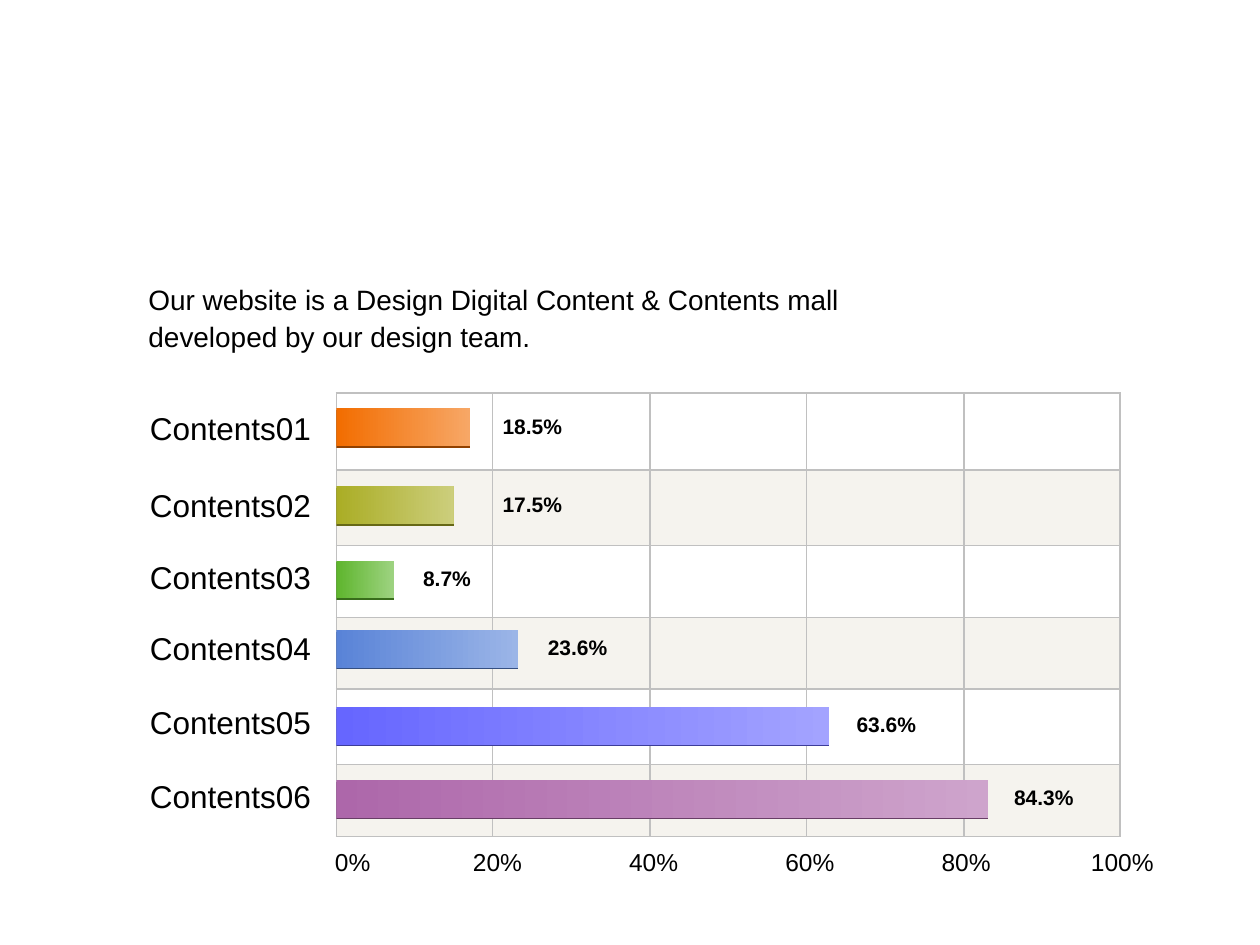
from dataclasses import dataclass

from lxml import etree
from pptx import Presentation
from pptx.dml.color import RGBColor
from pptx.enum import shapes, text
from pptx.oxml import ns
from pptx.util import Inches, Pt

HUES = {
    "ink": "000000", "grid": "C0C0C0", "band": "EDE9DF",
    "orange": "F26D00", "olive": "AAAD25", "green": "5EB52D",
    "blue": "5983D7", "violet": "6666FF", "plum": "AD67AA",
}
LEFT, TOP = 2.67, 3.12
COLS = [1.24, 1.25, 1.24, 1.25, 1.24]
ROWS = [0.61, 0.6, 0.57, 0.57, 0.6, 0.57]


@dataclass
class Bar:
    name: str
    value: str
    hue: str
    top: float
    width: float
    name_top: float
    value_left: float


BARS = [
    Bar("Contents01", "18.5%", "orange", 3.24, 1.06, 3.2, 3.89),
    Bar("Contents02", "17.5%", "olive", 3.86, 0.93, 3.81, 3.89),
    Bar("Contents03", "8.7%", "green", 4.45, 0.46, 4.38, 3.26),
    Bar("Contents04", "23.6%", "blue", 5, 1.44, 4.94, 4.25),
    Bar("Contents05", "63.6%", "violet", 5.61, 3.91, 5.53, 6.7),
    Bar("Contents06", "84.3%", "plum", 6.19, 5.17, 6.12, 7.95),
]


def tint(hue: str) -> RGBColor:
    return RGBColor(*(round(0.6 * c + 0.4 * 255) for c in RGBColor.from_string(HUES[hue])))


def shade(hue: str) -> RGBColor:
    return RGBColor(*(round(0.6 * c) for c in RGBColor.from_string(HUES[hue])))


def add(parent, tag: str, **attrs: str):
    return etree.SubElement(parent, ns.qn(tag), attrs)


def write(slide, words: str, left: float, top: float, width: float, height: float,
          size: int, bold: bool = False, align=text.PP_ALIGN.LEFT, tabs=()):
    box = slide.shapes.add_textbox(Inches(left), Inches(top), Inches(width), Inches(height))
    frame = box.text_frame
    frame.word_wrap = True
    frame.auto_size = text.MSO_AUTO_SIZE.SHAPE_TO_FIT_TEXT
    para = frame.paragraphs[0]
    para.text = words
    para.alignment = align
    if tabs:
        stops = add(para._p.get_or_add_pPr(), "a:tabLst")
        for stop in tabs:
            add(stops, "a:tab", pos=str(Inches(stop)), algn="ctr")
    para.font.name = "Arial"
    para.font.size = Pt(size)
    para.font.bold = bold
    para.font.color.rgb = RGBColor.from_string(HUES["ink"])
    return para


def style_cell(cell, banded: bool) -> None:
    props = cell._tc.get_or_add_tcPr()
    for side in ("L", "R", "T", "B"):
        line = add(props, f"a:ln{side}", w=str(Pt(1)))
        add(add(line, "a:solidFill"), "a:srgbClr", val=HUES["grid"])
    if banded:
        cell.fill.solid()
        cell.fill.fore_color.rgb = RGBColor.from_string(HUES["band"])
        add(props.find(".//a:srgbClr[@val='%s']" % HUES["band"], ns._nsmap), "a:alpha", val="50000")
    else:
        cell.fill.background()


def draw_grid(slide) -> None:
    frame = slide.shapes.add_table(len(ROWS), len(COLS), Inches(LEFT), Inches(TOP),
                                   Inches(sum(COLS)), Inches(sum(ROWS)))
    table = frame.table
    table.first_row = False
    table.horz_banding = False
    for col, width in zip(table.columns, COLS):
        col.width = Inches(width)
    for index, (row, height) in enumerate(zip(table.rows, ROWS)):
        row.height = Inches(height)
        for cell in row.cells:
            style_cell(cell, index % 2 == 1)


def draw_bar(slide, bar: Bar) -> None:
    rect = slide.shapes.add_shape(shapes.MSO_SHAPE.RECTANGLE, Inches(LEFT), Inches(bar.top),
                                  Inches(bar.width), Inches(0.3))
    rect.fill.gradient()
    rect.fill.gradient_angle = 0
    start, end = rect.fill.gradient_stops
    start.position, end.position = 0, 1
    start.color.rgb = RGBColor.from_string(HUES[bar.hue])
    end.color.rgb = tint(bar.hue)
    rect.line.fill.background()
    rect.shadow.inherit = False
    effects = rect._element.spPr.find(ns.qn("a:effectLst"))
    shadow = add(effects, "a:outerShdw", dist=str(Pt(1)), dir="5400000", rotWithShape="0")
    add(shadow, "a:srgbClr", val=str(shade(bar.hue)))
    write(slide, bar.name, 1, bar.name_top, 1.66, 0.4, 18, align=text.PP_ALIGN.CENTER)
    write(slide, bar.value, bar.value_left, bar.top - 0.01, 0.96, 0.3, 12, bold=True)


def main() -> None:
    deck = Presentation()
    deck.slide_width, deck.slide_height = Inches(10), Inches(7.5)
    slide = deck.slides.add_slide(deck.slide_layouts[6])
    draw_grid(slide)
    for bar in BARS:
        draw_bar(slide, bar)
    ticks = "\t".join(f"{n}%" for n in range(0, 101, 20))
    write(slide, ticks, 2.56, 6.67, 6.74, 0.33, 14,
          tabs=[1.29 + 1.24 * n for n in range(5)])
    intro = write(slide, "Our website is a Design Digital Content & Contents mall "
                  "developed by our design team.", 1.08, 2.17, 6.42, 0.69, 16)
    intro.line_spacing = 1.1
    deck.save("out.pptx")


if __name__ == "__main__":
    main()
